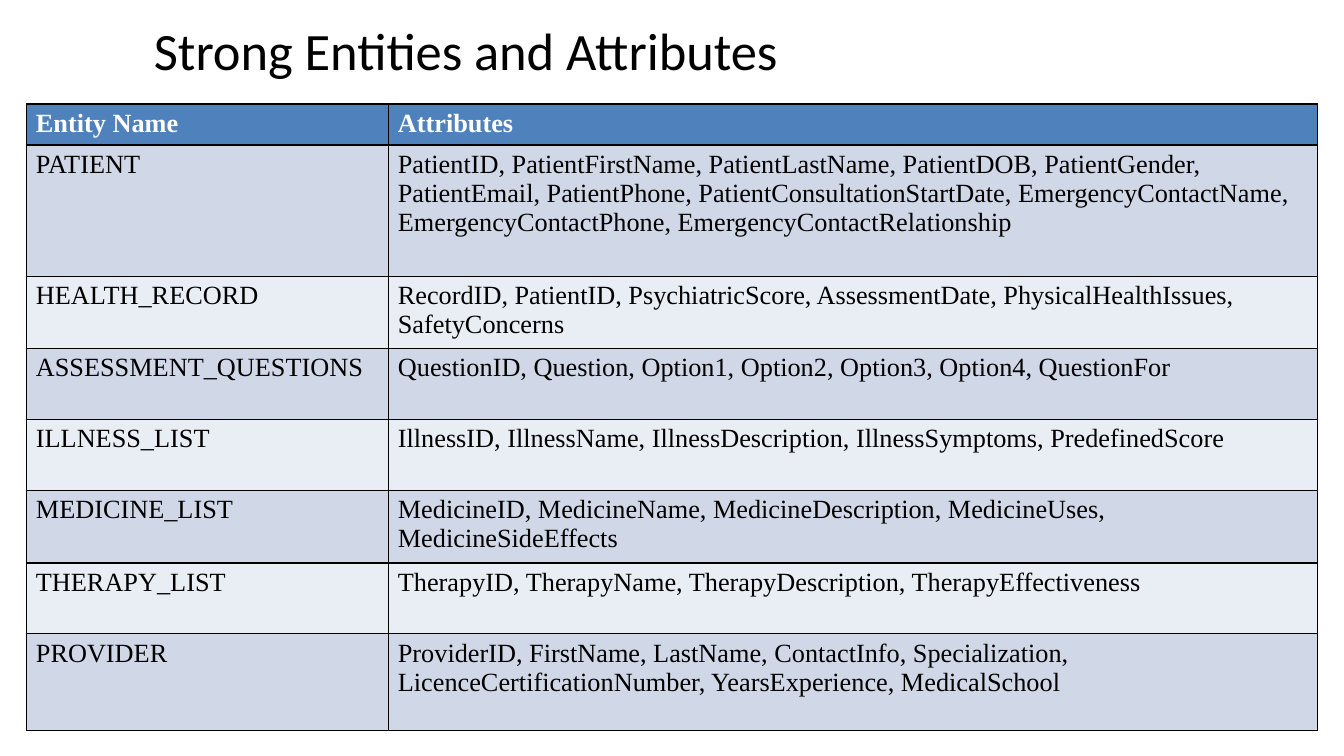
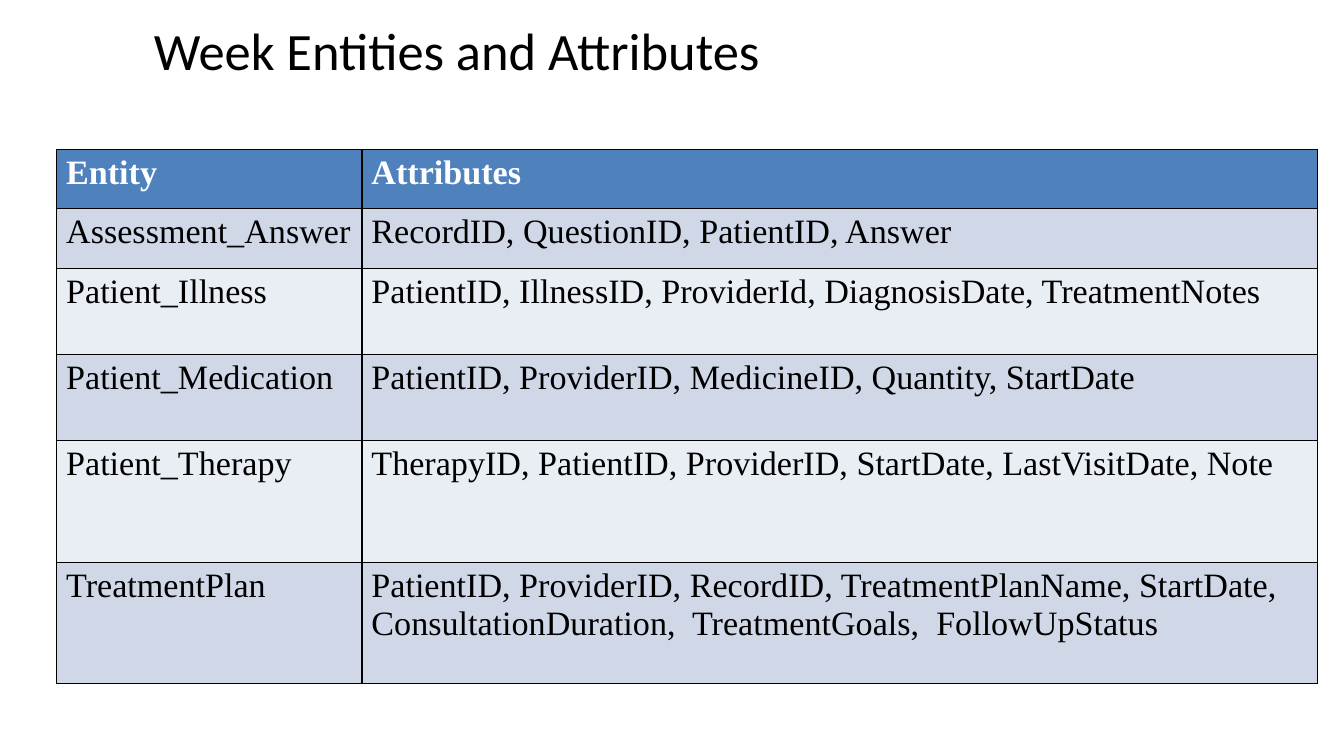
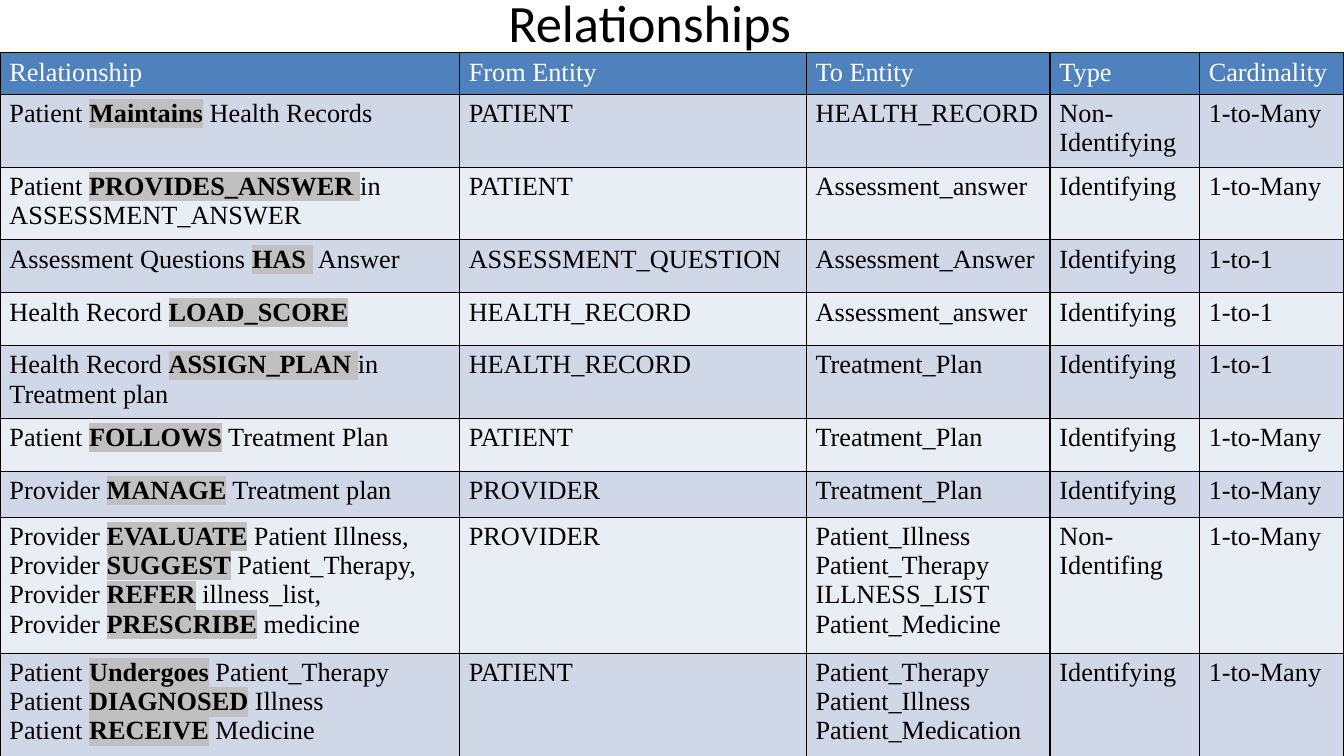
from dataclasses import dataclass

from lxml.etree import SubElement
from pptx import Presentation
from pptx.dml.color import RGBColor
from pptx.oxml import parse_xml
from pptx.oxml.ns import nsdecls, qn
from pptx.util import Inches, Pt


@dataclass(frozen=True)
class Theme:
    title_font: str = "Calibri"
    table_font: str = "Times New Roman"
    title_size: int = 40
    body_size: int = 20
    large_size: int = 26
    ink: str = "000000"
    header_ink: str = "FFFFFF"
    header_fill: str = "4F81BD"
    band_fills: tuple = ("D0D8E8", "E9EDF4")
    verb_fill: str = "C0C0C0"
    border_width: int = 1


THEME = Theme()

# Table content: the verb of a relationship stands between asterisks
STRONG_ENTITIES = [
    ("Entity Name", "Attributes"),
    ("PATIENT", "PatientID, PatientFirstName, PatientLastName, PatientDOB, PatientGender, "
                "PatientEmail, PatientPhone, PatientConsultationStartDate, EmergencyContactName, "
                "EmergencyContactPhone, EmergencyContactRelationship"),
    ("HEALTH_RECORD", "RecordID, PatientID, PsychiatricScore, AssessmentDate, "
                      "PhysicalHealthIssues, SafetyConcerns"),
    ("ASSESSMENT_QUESTIONS", "QuestionID, Question, Option1, Option2, Option3, Option4, QuestionFor"),
    ("ILLNESS_LIST", "IllnessID, IllnessName, IllnessDescription, IllnessSymptoms, PredefinedScore"),
    ("MEDICINE_LIST", "MedicineID, MedicineName, MedicineDescription, MedicineUses, "
                      "MedicineSideEffects"),
    ("THERAPY_LIST", "TherapyID, TherapyName, TherapyDescription, TherapyEffectiveness"),
    ("PROVIDER", "ProviderID, FirstName, LastName, ContactInfo, Specialization, "
                 "LicenceCertificationNumber, YearsExperience, MedicalSchool"),
]

WEAK_ENTITIES = [
    ("Entity", "Attributes"),
    ("Assessment_Answer", "RecordID, QuestionID, PatientID, Answer"),
    ("Patient_Illness", "PatientID, IllnessID, ProviderId, DiagnosisDate, TreatmentNotes"),
    ("Patient_Medication", "PatientID, ProviderID, MedicineID, Quantity, StartDate"),
    ("Patient_Therapy", "TherapyID, PatientID, ProviderID, StartDate, LastVisitDate, Note"),
    ("TreatmentPlan", "PatientID, ProviderID, RecordID, TreatmentPlanName, StartDate,  "
                      "ConsultationDuration,  TreatmentGoals,  FollowUpStatus"),
]

RELATIONSHIPS = [
    ("Relationship", "From Entity", "To Entity", "Type", "Cardinality"),
    ("Patient *Maintains* Health Records", "PATIENT", "HEALTH_RECORD",
     "Non-Identifying", "1-to-Many"),
    ("Patient *PROVIDES_ANSWER *in ASSESSMENT_ANSWER", "PATIENT", "Assessment_answer",
     "Identifying", "1-to-Many"),
    ("Assessment Questions *HAS * Answer", "ASSESSMENT_QUESTION", "Assessment_Answer",
     "Identifying", "1-to-1"),
    ("Health Record *LOAD_SCORE*", "HEALTH_RECORD", "Assessment_answer",
     "Identifying", "1-to-1"),
    ("Health Record *ASSIGN_PLAN *in Treatment plan", "HEALTH_RECORD", "Treatment_Plan",
     "Identifying", "1-to-1"),
    ("Patient *FOLLOWS* Treatment Plan", "PATIENT", "Treatment_Plan",
     "Identifying", "1-to-Many"),
    ("Provider *MANAGE* Treatment plan", "PROVIDER", "Treatment_Plan",
     "Identifying", "1-to-Many"),
    ("Provider *EVALUATE* Patient Illness,\n"
     "Provider *SUGGEST* Patient_Therapy, Provider *REFER* illness_list,\n"
     "Provider *PRESCRIBE* medicine", "PROVIDER",
     "Patient_Illness\nPatient_Therapy\nILLNESS_LIST\nPatient_Medicine",
     "Non-Identifing", "1-to-Many"),
    ("Patient *Undergoes* Patient_Therapy\nPatient *DIAGNOSED* Illness\n"
     "Patient *RECEIVE* Medicine", "PATIENT",
     "Patient_Therapy\nPatient_Illness\nPatient_Medication",
     "Identifying", "1-to-Many"),
]


def style_run(run, font_name, size, color, bold=False):
    run.font.name = font_name
    run.font.size = Pt(size)
    run.font.bold = bold
    run.font.color.rgb = RGBColor.from_string(color)


def highlight(run):
    mark = parse_xml(f'<a:highlight {nsdecls("a")}>'
                     f'<a:srgbClr val="{THEME.verb_fill}"/></a:highlight>')
    run.font._element.find(qn("a:solidFill")).addnext(mark)


def add_title(slide, title, left, top):
    box = slide.shapes.add_textbox(Inches(left), Inches(top), Inches(7), Inches(0.77))
    frame = box.text_frame
    frame.word_wrap = True
    frame.text = title
    style_run(frame.paragraphs[0].runs[0], THEME.title_font, THEME.title_size, THEME.ink)


def add_borders(cell):
    properties = cell._tc.get_or_add_tcPr()
    for side in ("a:lnL", "a:lnR", "a:lnT", "a:lnB"):
        line = SubElement(properties, qn(side), w=str(Pt(THEME.border_width)))
        fill = SubElement(line, qn("a:solidFill"))
        SubElement(fill, qn("a:srgbClr"), val=THEME.ink)


def fill_cell(cell, content, size, color, fill, bold):
    add_borders(cell)
    cell.fill.solid()
    cell.fill.fore_color.rgb = RGBColor.from_string(fill)
    cell.text_frame.text = content.replace("*", "")
    for paragraph, line in zip(cell.text_frame.paragraphs, content.split("\n")):
        first, *others = line.split("*")
        paragraph.text = first
        for part in filter(None, others):
            paragraph.add_run().text = part
        # Runs alternate between plain wording and a marked verb
        for index, run in enumerate(paragraph.runs):
            is_verb = index % 2 == 1
            style_run(run, THEME.table_font, size, color, bold or is_verb)
            if is_verb:
                highlight(run)


def add_entity_table(slide, rows, left, top, widths, heights, size, bold_header=True):
    frame = slide.shapes.add_table(len(rows), len(widths), Inches(left), Inches(top),
                                   Inches(sum(widths)), Inches(sum(heights)))
    table = frame.table
    table.horz_banding = False
    for column, width in zip(table.columns, widths):
        column.width = Inches(width)
    for row, height in zip(table.rows, heights):
        row.height = Inches(height)
    for r, contents in enumerate(rows):
        if r == 0:
            color, fill, bold = THEME.header_ink, THEME.header_fill, bold_header
        else:
            color, fill, bold = THEME.ink, THEME.band_fills[(r - 1) % 2], False
        for c, content in enumerate(contents):
            fill_cell(table.cell(r, c), content, size, color, fill, bold)


def main():
    deck = Presentation()
    deck.slide_width, deck.slide_height = Inches(14.22), Inches(8)
    blank = deck.slide_layouts[6]

    # Strong entities
    strong = deck.slides.add_slide(blank)
    add_title(strong, "Strong Entities and Attributes", 1.53, 0.14)
    add_entity_table(strong, STRONG_ENTITIES, 0.28, 1.1, [3.83, 9.83],
                     [0.43, 1.39] + [0.75] * 5 + [1.02], THEME.body_size)

    # Weak entities
    weak = deck.slides.add_slide(blank)
    add_title(weak, "Week Entities and Attributes", 1.53, 0.14)
    add_entity_table(weak, WEAK_ENTITIES, 0.6, 1.58, [3.23, 10.11],
                     [0.63, 0.63, 0.91, 0.91, 1.29, 1.28], THEME.large_size)

    # Relationships
    relations = deck.slides.add_slide(blank)
    add_title(relations, "Relationships", 5.28, -0.16)
    add_entity_table(relations, RELATIONSHIPS, 0, 0.56, [4.86, 3.67, 2.58, 1.58, 1.53],
                     [0.44, 0.77, 0.77, 0.56, 0.56, 0.76, 0.56, 0.49, 1.44, 1.09],
                     THEME.body_size, bold_header=False)

    deck.save("out.pptx")


if __name__ == "__main__":
    main()
